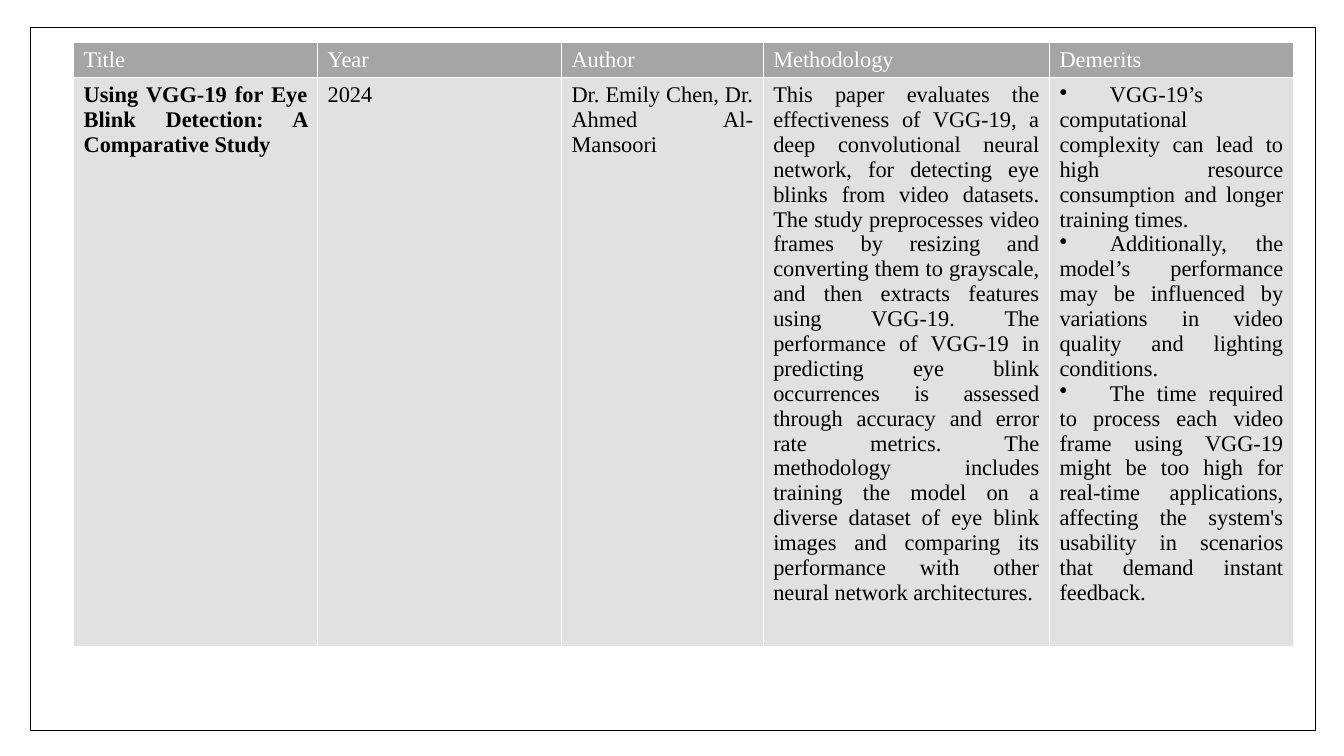
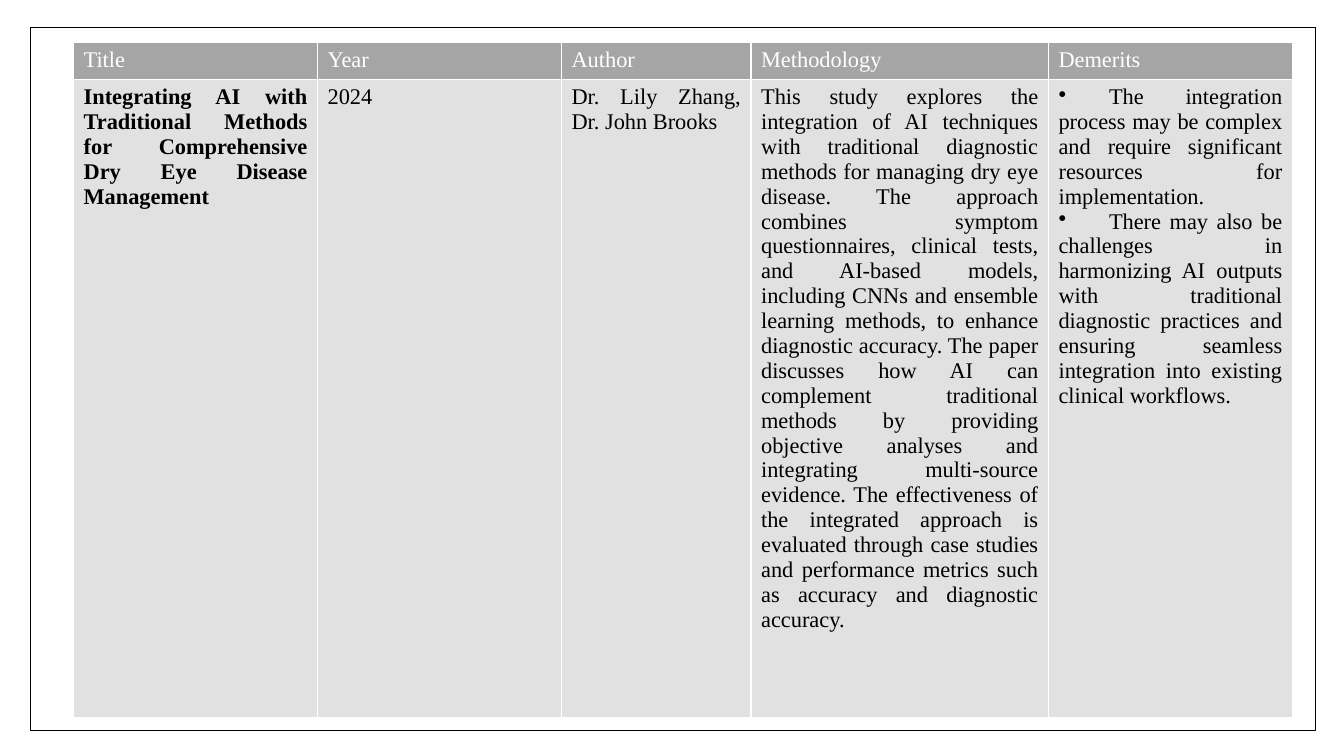
import pptx
import pptx.util
import pptx.dml.color
import pptx.enum.shapes
import pptx.enum.text
import pptx.oxml
import pptx.oxml.ns

RGB = pptx.dml.color.RGBColor
BLACK = RGB(0x00, 0x00, 0x00)
WHITE = RGB(0xFF, 0xFF, 0xFF)
GREY = RGB(0xA5, 0xA5, 0xA5)
PALE = RGB(0xE1, 0xE1, 0xE1)
FONT = "Times New Roman"
SIZE = 16
PX = 9144  # 100 px to the inch
HEADS = ["Title", "Year", "Author", "Methodology", "Demerits"]

PAPERS = [
    {
        "cols": [242, 242, 200, 284, 242],
        "rows": [35, 564],
        "title": "Using VGG-19 for Eye Blink Detection: A Comparative Study",
        "year": "2024",
        "author": "Dr. Emily Chen, Dr. Ahmed Al-Mansoori",
        "method": "This paper evaluates the effectiveness of VGG-19, a deep "
        "convolutional neural network, for detecting eye blinks from video "
        "datasets. The study preprocesses video frames by resizing and "
        "converting them to grayscale, and then extracts features using "
        "VGG-19. The performance of VGG-19 in predicting eye blink "
        "occurrences is assessed through accuracy and error rate metrics. "
        "The methodology includes training the model on a diverse dataset "
        "of eye blink images and comparing its performance with other "
        "neural network architectures.",
        "flaws": [
            "VGG-19’s computational complexity can lead to high resource "
            "consumption and longer training times.",
            "Additionally, the model’s performance may be influenced by "
            "variations in video quality and lighting conditions.",
            "The time required to process each video frame using VGG-19 "
            "might be too high for real-time applications, affecting the "
            "system's usability in scenarios that demand instant feedback.",
        ],
    },
    {
        "cols": [242, 242, 188, 295, 242],
        "rows": [37, 633],
        "title": "Integrating AI with Traditional Methods for Comprehensive "
        "Dry Eye Disease Management",
        "year": "2024",
        "author": "Dr. Lily Zhang, Dr. John Brooks",
        "method": "This study explores the integration of AI techniques with "
        "traditional diagnostic methods for managing dry eye disease. The "
        "approach combines symptom questionnaires, clinical tests, and "
        "AI-based models, including CNNs and ensemble learning methods, to "
        "enhance diagnostic accuracy. The paper discusses how AI can "
        "complement traditional methods by providing objective analyses and "
        "integrating multi-source evidence. The effectiveness of the "
        "integrated approach is evaluated through case studies and "
        "performance metrics such as accuracy and diagnostic accuracy.",
        "flaws": [
            "The integration process may be complex and require significant "
            "resources for implementation.",
            "There may also be challenges in harmonizing AI outputs with "
            "traditional diagnostic practices and ensuring seamless "
            "integration into existing clinical workflows.",
        ],
    },
]


class Deck:
    def __init__(self, wide, high):
        self.file = pptx.Presentation()
        self.file.slide_width = wide * PX
        self.file.slide_height = high * PX
        self.slide = None

    def page(self):
        self.slide = self.file.slides.add_slide(self.file.slide_layouts[6])
        self.frame(30, 27, 1275, 698)

    def frame(self, left, top, wide, high):
        box = self.slide.shapes.add_shape(
            pptx.enum.shapes.MSO_SHAPE.RECTANGLE,
            left * PX, top * PX, wide * PX, high * PX)
        box.shadow.inherit = False
        box.fill.background()
        box.line.color.rgb = BLACK
        box.line.width = pptx.util.Pt(1)

    def table(self, left, top, cols, rows):
        grid = self.slide.shapes.add_table(
            len(rows), len(cols), left * PX, top * PX,
            sum(cols) * PX, sum(rows) * PX).table
        grid.first_row = True
        grid.horz_banding = False
        for col, wide in zip(grid.columns, cols):
            col.width = wide * PX
        for row, high in zip(grid.rows, rows):
            row.height = high * PX
        return grid

    def edges(self, cell):
        """Give the cell a thin white border on all four sides."""
        props = cell._tc.get_or_add_tcPr()
        for spot, side in enumerate("LRTB"):
            props.insert(spot, pptx.oxml.parse_xml(
                f'<a:ln{side} {pptx.oxml.ns.nsdecls("a")} w="12700">'
                f'<a:solidFill><a:srgbClr val="{WHITE}"/></a:solidFill>'
                f'</a:ln{side}>'))

    def bullet(self, para):
        """Mark the paragraph with a dot; later lines start at the edge."""
        props = para._p.get_or_add_pPr()
        props.set("marL", "0")
        props.set("indent", "0")
        props.append(pptx.oxml.parse_xml(
            f'<a:buChar {pptx.oxml.ns.nsdecls("a")} char="•"/>'))

    def cell(self, cell, texts, fill, ink, bold=False, just=False, dots=False):
        self.edges(cell)
        cell.fill.solid()
        cell.fill.fore_color.rgb = fill
        frame = cell.text_frame
        for spot, text in enumerate(texts):
            para = frame.add_paragraph() if spot else frame.paragraphs[0]
            if dots:
                self.bullet(para)
            if just:
                para.alignment = pptx.enum.text.PP_ALIGN.JUSTIFY
            run = para.add_run()
            run.text = "\t" + text if dots else text
            run.font.name = FONT
            run.font.size = pptx.util.Pt(SIZE)
            run.font.bold = bold
            run.font.color.rgb = ink

    def paper(self, data):
        grid = self.table(73, 42, data["cols"], data["rows"])
        for col, head in enumerate(HEADS):
            self.cell(grid.cell(0, col), [head], GREY, WHITE)
        body = [[data[key]] for key in ("title", "year", "author", "method")]
        body.append(data["flaws"])
        for col, texts in enumerate(body):
            self.cell(grid.cell(1, col), texts, PALE, BLACK, just=True,
                      bold=HEADS[col] == "Title",
                      dots=HEADS[col] == "Demerits")


def main():
    deck = Deck(1333, 750)
    for data in PAPERS:
        deck.page()
        deck.paper(data)
    deck.file.save("out.pptx")


if __name__ == "__main__":
    main()
